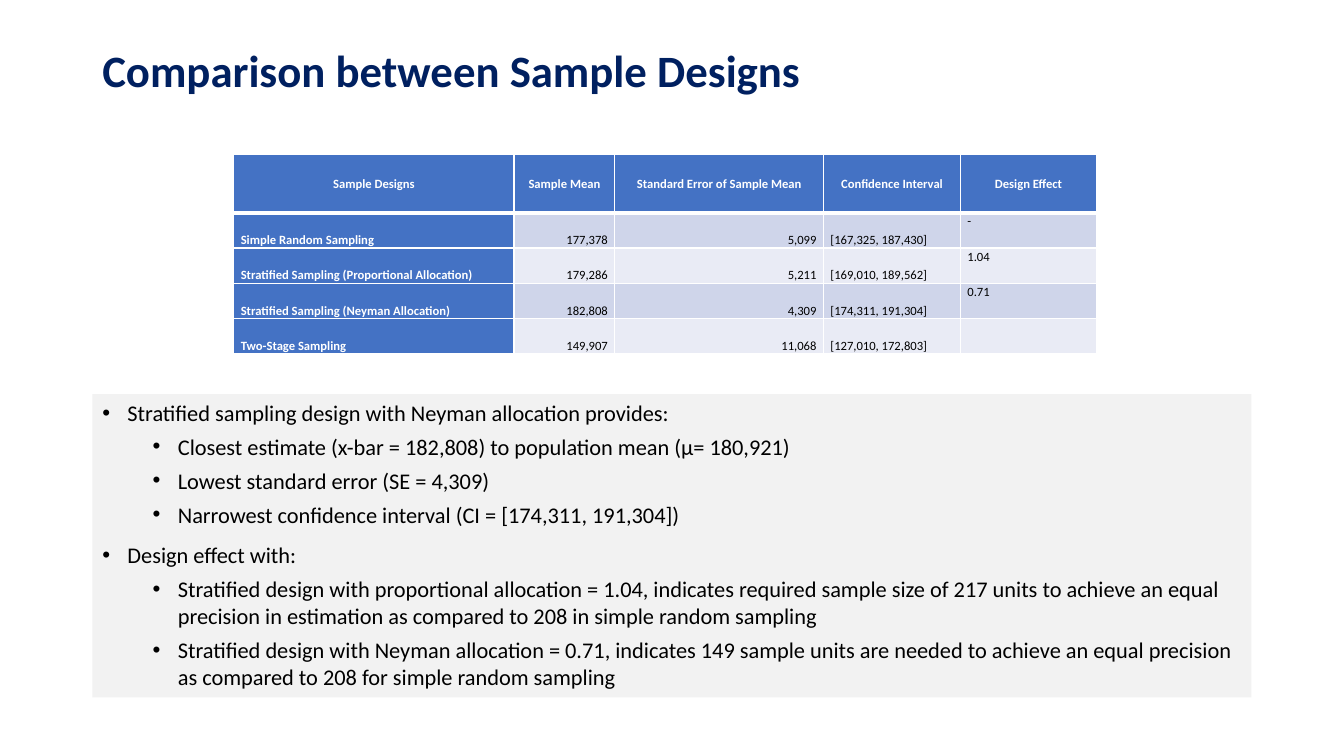
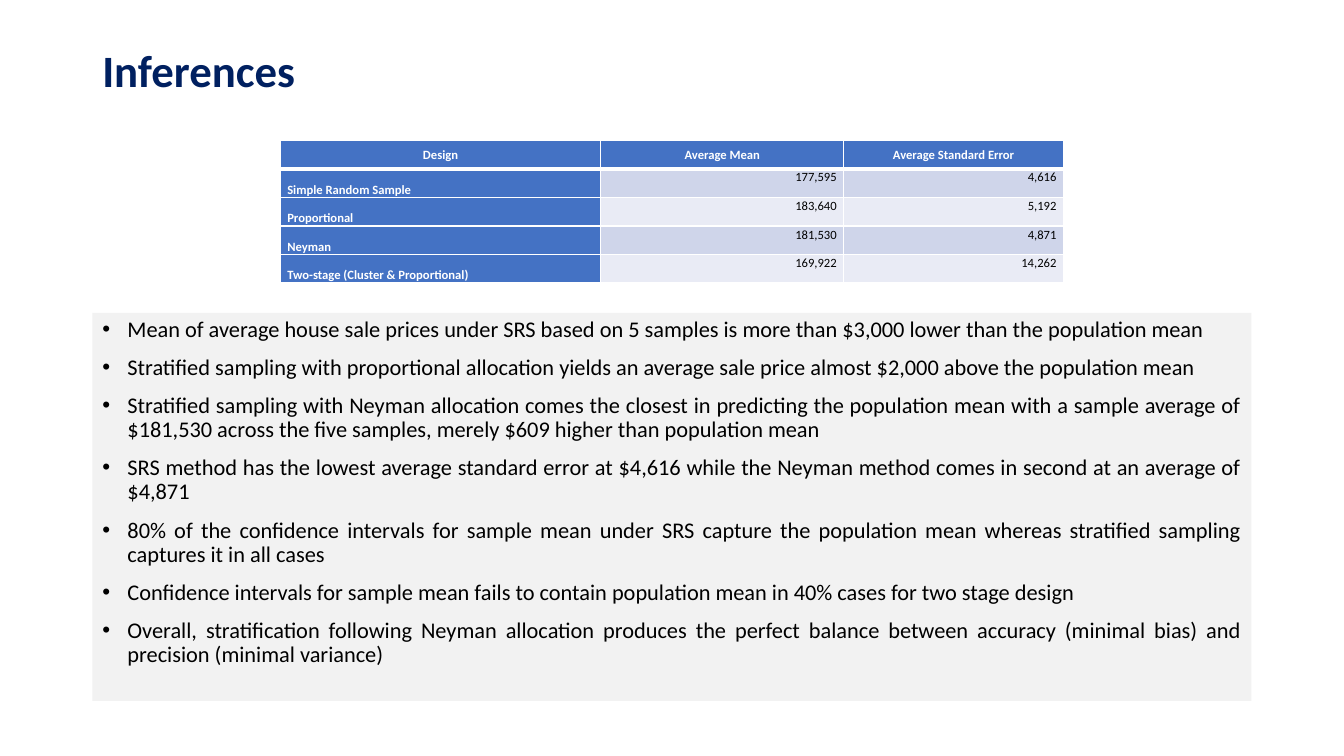
import lxml.etree
import pptx
import pptx.dml.color
import pptx.enum.shapes
import pptx.enum.text
import pptx.oxml.ns
import pptx.util

Pt = pptx.util.Pt
ALIGN = pptx.enum.text.PP_ALIGN
ANCHOR = pptx.enum.text.MSO_ANCHOR
qn = pptx.oxml.ns.qn

# Shared style
FONT = "Calibri"
NAVY, BLUE, BLACK, WHITE = "002060", "4472C4", "000000", "FFFFFF"
PANEL, BANDS = "F2F2F2", ("CFD5EA", "E9EBF5")
LEFT, WIDTH = 66, 828
TITLE_BOX = (LEFT, 28.8, WIDTH, 46)


def color(hex_string):
    return pptx.dml.color.RGBColor.from_string(hex_string)


def format_text(paragraph, size, hex_string, bold=False):
    for run in paragraph.runs:
        run.font.name = FONT
        run.font.size = Pt(size)
        run.font.bold = bold
        run.font.color.rgb = color(hex_string)


def add_title(slide, box, text):
    shape = slide.shapes.add_textbox(*map(Pt, box))
    frame = shape.text_frame
    frame.word_wrap = True
    frame.vertical_anchor = ANCHOR.MIDDLE
    frame.text = text
    frame.paragraphs[0].line_spacing = 0.9
    format_text(frame.paragraphs[0], 32, NAVY, True)


# Table
def set_borders(cell, **widths):
    properties = cell._tc.get_or_add_tcPr()
    for side in "LRTB":
        line = lxml.etree.SubElement(properties, qn("a:ln" + side))
        line.set("w", str(Pt(widths.get(side, 1))))
        fill = lxml.etree.SubElement(line, qn("a:solidFill"))
        lxml.etree.SubElement(fill, qn("a:srgbClr")).set("val", WHITE)


def fill_cell(cell, text, fill, text_color, bold, align, anchor):
    cell.margin_left = cell.margin_right = Pt(5)
    cell.margin_top = cell.margin_bottom = 0
    cell.vertical_anchor = anchor
    cell.fill.solid()
    cell.fill.fore_color.rgb = color(fill)
    cell.text_frame.text = text
    paragraph = cell.text_frame.paragraphs[0]
    paragraph.alignment = align
    paragraph.line_spacing = 1.07
    format_text(paragraph, 9, text_color, bold)


def add_design_table(slide, box, header_height, column_widths, formats, rows):
    """Header row, blue first column, banded values; formats give (align, anchor) by column."""
    left, top, width, height = box
    frame = slide.shapes.add_table(len(rows), len(column_widths), *map(Pt, box))
    table = frame.table
    for column, column_width in zip(table.columns, column_widths):
        column.width = Pt(column_width)
    row_height = (height - header_height) / (len(rows) - 1)
    for i, texts in enumerate(rows):
        table.rows[i].height = Pt(row_height if i else header_height)
        for j, text in enumerate(texts):
            cell = table.cell(i, j)
            set_borders(cell, B=1 if i else 3, T=3 if i == 1 else 1)
            heading = i == 0 or j == 0
            align, anchor = formats[j] if i else (ALIGN.CENTER, ANCHOR.MIDDLE)
            fill_cell(cell, text, BLUE if heading else BANDS[(i - 1) % 2],
                      WHITE if heading else BLACK, heading, align, anchor)


# Bullet panel
def add_bullet_panel(slide, box, items, align, line_spacing):
    """Items are (level, text)."""
    shape = slide.shapes.add_shape(pptx.enum.shapes.MSO_SHAPE.RECTANGLE, *map(Pt, box))
    shape.shadow.inherit = False
    shape.fill.solid()
    shape.fill.fore_color.rgb = color(PANEL)
    shape.line.fill.background()
    frame = shape.text_frame
    frame.word_wrap = True
    frame.vertical_anchor = ANCHOR.TOP
    frame.text = "\n".join(text for level, text in items)
    for paragraph, (level, text) in zip(frame.paragraphs, items):
        paragraph.level = level
        paragraph.alignment = align
        paragraph.line_spacing = line_spacing
        paragraph.space_before = Pt(5 if level else 10)
        format_text(paragraph, 16, BLACK)
        properties = paragraph._p.get_or_add_pPr()
        properties.set("marL", str(Pt(18 + 36 * level)))
        properties.set("indent", str(Pt(-18)))
        lxml.etree.SubElement(properties, qn("a:buFont")).set("typeface", "Arial")
        lxml.etree.SubElement(properties, qn("a:buChar")).set("char", "•")


# Slides
def add_comparison_slide(slide):
    add_title(slide, TITLE_BOX, "Comparison between Sample Designs")
    label, number = (ALIGN.LEFT, ANCHOR.BOTTOM), (ALIGN.RIGHT, ANCHOR.BOTTOM)
    add_design_table(
        slide, (167, 110.2, 616.3, 142.6), 41.8, (200.2, 72, 149, 97.9, 97.2),
        (label, number, number, label, (ALIGN.LEFT, ANCHOR.TOP)),
        [("Sample Designs", "Sample Mean", "Standard Error of Sample Mean",
          "Confidence Interval", "Design Effect"),
         ("Simple Random Sampling", "177,378", "5,099", "[167,325, 187,430]", "-"),
         ("Stratified Sampling (Proportional Allocation)", "179,286", "5,211",
          "[169,010, 189,562]", "1.04"),
         ("Stratified Sampling (Neyman Allocation)", "182,808", "4,309",
          "[174,311, 191,304]", "0.71"),
         ("Two-Stage Sampling", "149,907", "11,068", "[127,010, 172,803]", "")])
    add_bullet_panel(slide, (LEFT, 281.5, WIDTH, 216.7), [
        (0, "Stratified sampling design with Neyman allocation provides:"),
        (1, "Closest estimate (x-bar = 182,808) to population mean (μ= 180,921)"),
        (1, "Lowest standard error (SE = 4,309)"),
        (1, "Narrowest confidence interval (CI = [174,311, 191,304])"),
        (0, "Design effect with:"),
        (1, "Stratified design with proportional allocation = 1.04, indicates required sample "
            "size of 217 units to achieve an equal precision in estimation as compared to 208 "
            "in simple random sampling"),
        (1, "Stratified design with Neyman allocation = 0.71, indicates 149 sample units are "
            "needed to achieve an equal precision as compared to 208 for simple random sampling"),
    ], ALIGN.LEFT, 1.0)


def add_inferences_slide(slide):
    add_title(slide, TITLE_BOX, "Inferences")
    number = (ALIGN.RIGHT, ANCHOR.TOP)
    add_design_table(
        slide, (200.2, 100.1, 559.4, 102.2), 20.6, (229, 173.5, 156.9),
        ((ALIGN.LEFT, ANCHOR.BOTTOM), number, number),
        [("Design", "Average Mean", "Average Standard Error"),
         ("Simple Random Sample", "177,595", "4,616"),
         ("Proportional", "183,640", "5,192"),
         ("Neyman", "181,530", "4,871"),
         ("Two-stage (Cluster & Proportional)", "169,922", "14,262")])
    inferences = [
        "Mean of average house sale prices under SRS based on 5 samples is more than $3,000 "
        "lower than the population mean",
        "Stratified sampling with proportional allocation yields an average sale price almost "
        "$2,000 above the population mean",
        "Stratified sampling with Neyman allocation comes the closest in predicting the "
        "population mean with a sample average of $181,530 across the five samples, merely "
        "$609 higher than population mean",
        "SRS method has the lowest average standard error at $4,616 while the Neyman method "
        "comes in second at an average of $4,871",
        "80% of the confidence intervals for sample mean under SRS capture the population mean "
        "whereas stratified sampling captures it in all cases",
        "Confidence intervals for sample mean fails to contain population mean in 40% cases "
        "for two stage design",
        "Overall, stratification following Neyman allocation produces the perfect balance "
        "between accuracy (minimal bias) and precision (minimal variance)",
    ]
    add_bullet_panel(slide, (LEFT, 223.4, WIDTH, 277.2),
                     [(0, text) for text in inferences], ALIGN.JUSTIFY, 0.9)


def main():
    presentation = pptx.Presentation()
    presentation.slide_width, presentation.slide_height = Pt(960), Pt(540)
    for build in (add_comparison_slide, add_inferences_slide):
        build(presentation.slides.add_slide(presentation.slide_layouts[6]))
    presentation.save("out.pptx")


if __name__ == "__main__":
    main()
